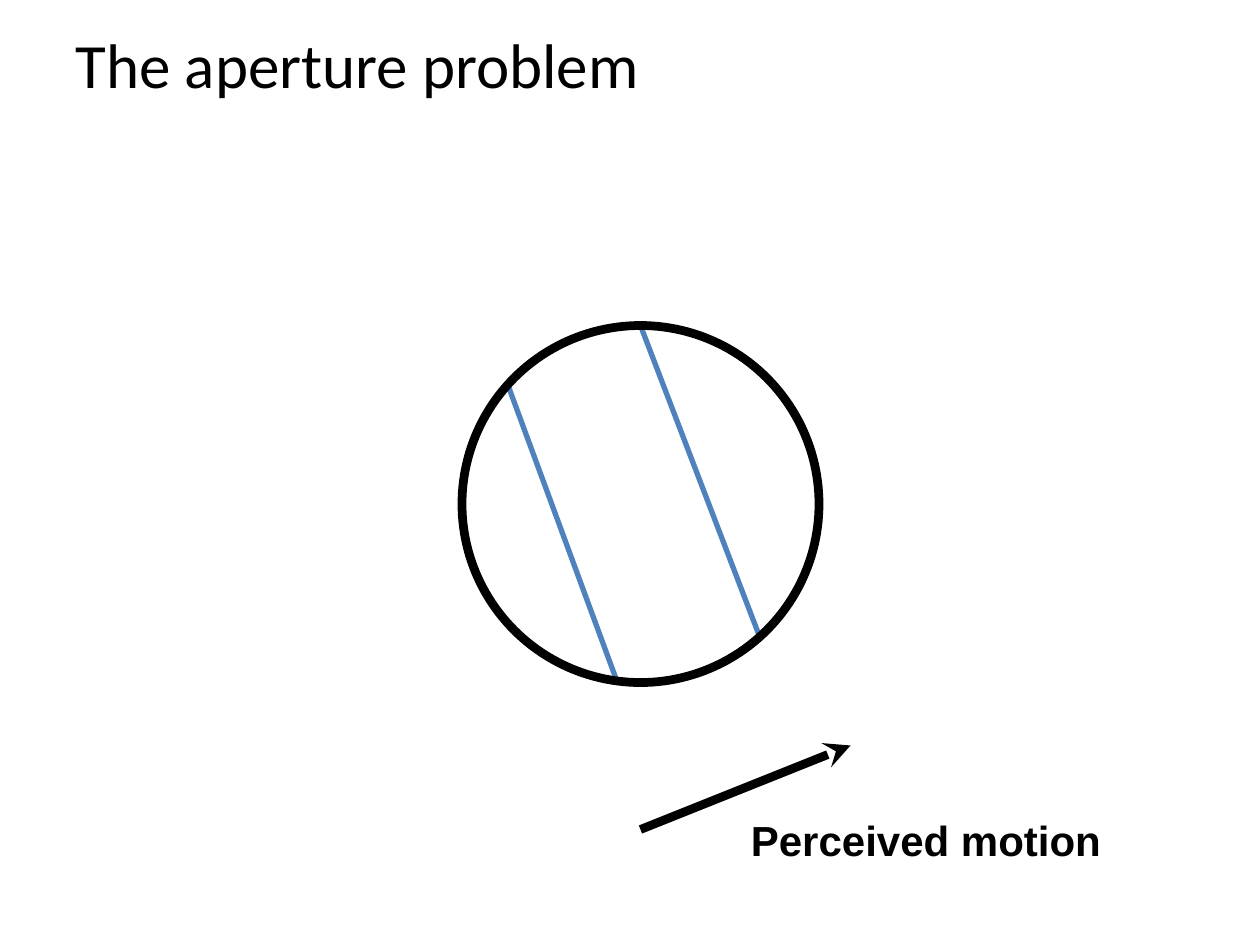
"""Build the aperture problem slide: two stripes in a round opening and a motion arrow."""
from typing import NamedTuple

from lxml.etree import SubElement
from pptx import Presentation
from pptx.dml.color import RGBColor
from pptx.enum.shapes import MSO_CONNECTOR, MSO_SHAPE
from pptx.enum.text import MSO_ANCHOR, MSO_AUTO_SIZE, PP_ALIGN
from pptx.oxml.ns import qn
from pptx.util import Pt

BLACK = RGBColor(0x00, 0x00, 0x00)
BLUE = RGBColor(0x4F, 0x81, 0xBD)

TITLE_FONT = {"name": "Calibri", "size": Pt(36), "bold": False}
LABEL_FONT = {"name": "Arial", "size": Pt(24), "bold": True}


class Stroke(NamedTuple):
    start: tuple[float, float]
    end: tuple[float, float]
    color: RGBColor
    width: float
    arrow: bool = False


STRIPES = [
    Stroke((290.9, 221.8), (352.8, 390), BLUE, 3),
    Stroke((366, 186), (434, 363.6), BLUE, 3),
]
MOTION = Stroke((366, 474), (486, 426), BLACK, 5, arrow=True)


def draw_stroke(page, stroke: Stroke) -> None:
    """Draw a straight line, with a stealth head where asked."""
    ends = [Pt(value) for value in (*stroke.start, *stroke.end)]
    connector = page.shapes.add_connector(MSO_CONNECTOR.STRAIGHT, *ends)
    connector.line.color.rgb = stroke.color
    connector.line.width = Pt(stroke.width)
    if stroke.arrow:
        SubElement(connector.line._get_or_add_ln(), qn("a:tailEnd"), type="stealth")
    SubElement(connector._element.spPr, qn("a:effectLst"))


def draw_aperture(page, left: float, top: float, diameter: float) -> None:
    """Draw the unfilled round opening."""
    circle = page.shapes.add_shape(
        MSO_SHAPE.OVAL, Pt(left), Pt(top), Pt(diameter), Pt(diameter)
    )
    circle.shadow.inherit = False
    circle.fill.background()
    circle.line.color.rgb = BLACK
    circle.line.width = Pt(5)


def write_text(box, text: str, font_format: dict) -> None:
    """Put one left-aligned black line of text in a box."""
    para = box.text_frame.paragraphs[0]
    para.alignment = PP_ALIGN.LEFT
    span = para.add_run()
    span.text = text
    for name, value in font_format.items():
        setattr(span.font, name, value)
    span.font.color.rgb = BLACK


def main() -> None:
    """Assemble and save the deck."""
    deck = Presentation()
    deck.slide_width, deck.slide_height = Pt(720), Pt(540)
    page = deck.slides.add_slide(deck.slide_layouts.get_by_name("Title Only"))

    title = page.shapes.title
    frame = {"left": Pt(36), "top": Pt(0), "width": Pt(648), "height": Pt(72)}
    for name, value in frame.items():
        setattr(title, name, value)
    title.text_frame.vertical_anchor = MSO_ANCHOR.MIDDLE
    write_text(title, "The aperture problem", TITLE_FONT)

    for stripe in STRIPES:
        draw_stroke(page, stripe)
    draw_aperture(page, 264, 186, 204)
    draw_stroke(page, MOTION)

    label = page.shapes.add_textbox(Pt(422), Pt(462), Pt(214.5), Pt(36))
    label.text_frame.word_wrap = False
    label.text_frame.auto_size = MSO_AUTO_SIZE.SHAPE_TO_FIT_TEXT
    write_text(label, "Perceived motion", LABEL_FONT)

    deck.save("out.pptx")


if __name__ == "__main__":
    main()
